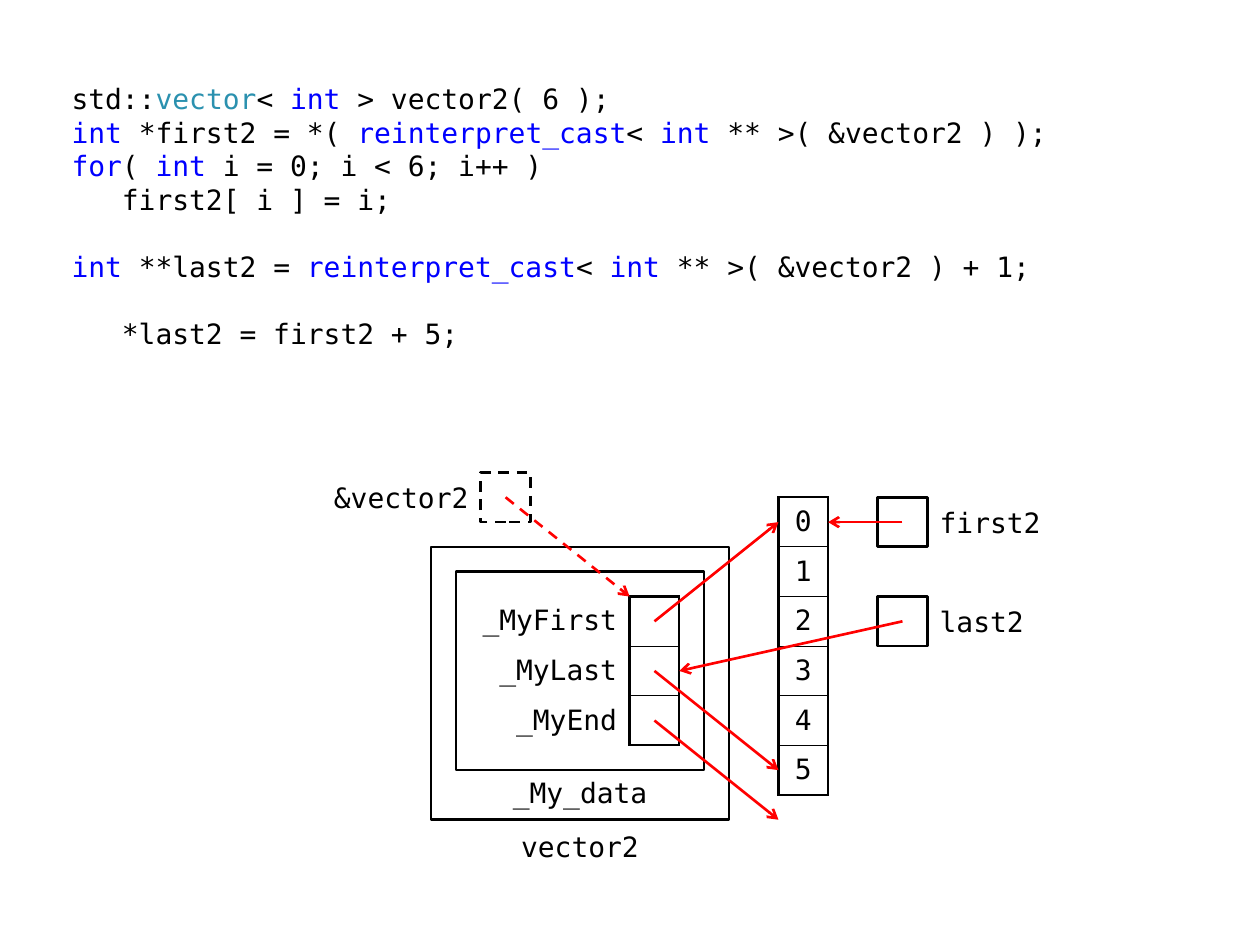
from lxml import etree
from pptx import Presentation
from pptx.dml.color import RGBColor
from pptx.enum.dml import MSO_LINE_DASH_STYLE as DASH
from pptx.enum.shapes import MSO_CONNECTOR, MSO_SHAPE
from pptx.enum.text import MSO_ANCHOR as ANCHOR, PP_ALIGN as ALIGN
from pptx.oxml.ns import qn
from pptx.util import Pt

COLORS = {"black": "000000", "white": "FFFFFF", "red": "FF0000",
          "keyword": "0000FF", "type": "2B91AF"}
FONT = "DejaVu Sans Mono"
SIZE = 16
LINE_PITCH = 19.2
THICK, THIN = 1.5, 0.75

UNIT = 28.35
LEFT, TOP = 246.4, 270

TOKENS = {"int": "keyword", "for": "keyword",
          "reinterpret_cast": "keyword", "vector": "type"}
CODE = [
    ("std::|vector|< |int| > vector2( 6 );", 0),
    ("int |*first2 = *( |reinterpret_cast|< |int| ** >( &vector2 ) );", 0),
    ("for|( |int| i = 0; i < 6; i++ )", 0),
    ("   first2[ i ] = i;", 0),
    ("int |**last2 = |reinterpret_cast|< |int| ** >( &vector2 ) + 1;", 1),
    ("   *last2 = first2 + 5;", 1),
]


def color(name):
    return RGBColor.from_string(COLORS[name])


def grid_x(col):
    return Pt(round(LEFT + col * UNIT, 2))


def grid_y(row):
    return Pt(round(TOP + row * UNIT, 2))


def span(count):
    return Pt(round(count * UNIT, 2))


def style_run(r, name="black"):
    r.font.name = FONT
    r.font.size = Pt(SIZE)
    r.font.color.rgb = color(name)


def add_code(slide):
    tf = slide.shapes.add_textbox(Pt(33.8), Pt(43.2), Pt(652.4), Pt(170)).text_frame
    tf.word_wrap = True
    for i, (line, blank_lines) in enumerate(CODE):
        p = tf.add_paragraph() if i else tf.paragraphs[0]
        p.line_spacing = Pt(LINE_PITCH)
        p.space_before = Pt(blank_lines * LINE_PITCH)
        for piece in line.split("|"):
            r = p.add_run()
            r.text = piece
            style_run(r, TOKENS.get(piece.strip(), "black"))


def add_label(slide, text, col, row, width, align=ALIGN.LEFT,
              anchor=ANCHOR.MIDDLE, top_margin=3.6):
    tf = slide.shapes.add_textbox(grid_x(col), grid_y(row), span(width), span(1)).text_frame
    tf.word_wrap = True
    tf.vertical_anchor = anchor
    tf.margin_top = Pt(top_margin)
    tf.text = text
    p = tf.paragraphs[0]
    p.alignment = align
    style_run(p.runs[0])


def add_box(slide, col, row, width=1, height=1, fill=None, dash=None):
    sp = slide.shapes.add_shape(MSO_SHAPE.RECTANGLE, grid_x(col), grid_y(row),
                                span(width), span(height))
    sp.shadow.inherit = False
    if fill:
        sp.fill.solid()
        sp.fill.fore_color.rgb = color(fill)
    else:
        sp.fill.background()
    sp.line.color.rgb = color("black")
    sp.line.width = Pt(THICK)
    if dash:
        sp.line.dash_style = dash


def add_arrow(slide, start, end, dash=None):
    cx = slide.shapes.add_connector(MSO_CONNECTOR.STRAIGHT, grid_x(start[0]), grid_y(start[1]),
                                    grid_x(end[0]), grid_y(end[1]))
    cx.line.color.rgb = color("red")
    cx.line.width = Pt(THICK)
    if dash:
        cx.line.dash_style = dash
    etree.SubElement(cx.line._get_or_add_ln(), qn("a:tailEnd"), type="arrow")
    etree.SubElement(cx._element.spPr, qn("a:effectLst"))


def set_borders(cell, **widths):
    tc_pr = cell._tc.get_or_add_tcPr()
    for i, side in enumerate("LRTB"):
        width = widths.get(side, 0)
        ln = etree.Element(qn("a:ln" + side), w=str(int(Pt(width))))
        if width:
            fill = etree.SubElement(ln, qn("a:solidFill"))
            etree.SubElement(fill, qn("a:srgbClr"), val=COLORS["black"])
        else:
            etree.SubElement(ln, qn("a:noFill"))
        tc_pr.insert(i, ln)


def fill_cell(cell, text, align):
    cell.fill.background()
    cell.vertical_anchor = ANCHOR.MIDDLE
    cell.margin_top = cell.margin_bottom = 0
    cell.text_frame.text = text
    p = cell.text_frame.paragraphs[0]
    p.alignment = align
    for r in p.runs:
        style_run(r)


def add_cells(slide, col, row, values, labels=None, label_width=3.5):
    widths = [label_width, 1] if labels else [1]
    count = len(values)
    table = slide.shapes.add_table(count, len(widths), grid_x(col), grid_y(row),
                                   span(sum(widths)), span(count)).table
    table.first_row = table.horz_banding = False
    for column, width in zip(table.columns, widths):
        column.width = span(width)
    for i, value in enumerate(values):
        table.rows[i].height = span(1)
        slot = table.cell(i, len(widths) - 1)
        fill_cell(slot, value, ALIGN.CENTER)
        set_borders(slot, L=THICK, R=THICK, T=THIN if i else THICK,
                    B=THIN if i < count - 1 else THICK)
        if labels:
            fill_cell(table.cell(i, 0), labels[i], ALIGN.RIGHT)
            set_borders(table.cell(i, 0), R=THICK)


def main():
    prs = Presentation()
    prs.slide_width, prs.slide_height = Pt(720), Pt(540)
    slide = prs.slides.add_slide(prs.slide_layouts[6])

    add_code(slide)

    add_label(slide, "vector2", 1.5, 7, 3, ALIGN.CENTER, ANCHOR.BOTTOM)
    add_box(slide, 0, 1.5, 6, 5.5, fill="white")
    add_box(slide, 0.5, 2, 5, 4, fill="white")
    add_label(slide, "_My_data", 1, 6, 4, ALIGN.CENTER, top_margin=0)
    add_cells(slide, 0.5, 2.5, ["", "", ""], ["_MyFirst", "_MyLast", "_MyEnd"])
    add_cells(slide, 7, 0.5, [str(n) for n in range(6)])
    for row, target in enumerate([1, 6, 7]):
        add_arrow(slide, (4.5, 3 + row), (7, target))

    for name, row, width, end in [("first2", 0.5, 3, (8, 1)), ("last2", 2.5, 2.5, (5, 4))]:
        add_label(slide, name, 10, row, width)
        add_box(slide, 9, row)
        add_arrow(slide, (9.5, row + 0.5), end)

    add_label(slide, "&vector2", -2.5, 0, 3.5, ALIGN.RIGHT)
    add_box(slide, 1, 0, dash=DASH.DASH)
    add_arrow(slide, (1.5, 0.5), (4, 2.5), dash=DASH.DASH)

    prs.save("out.pptx")


if __name__ == "__main__":
    main()
